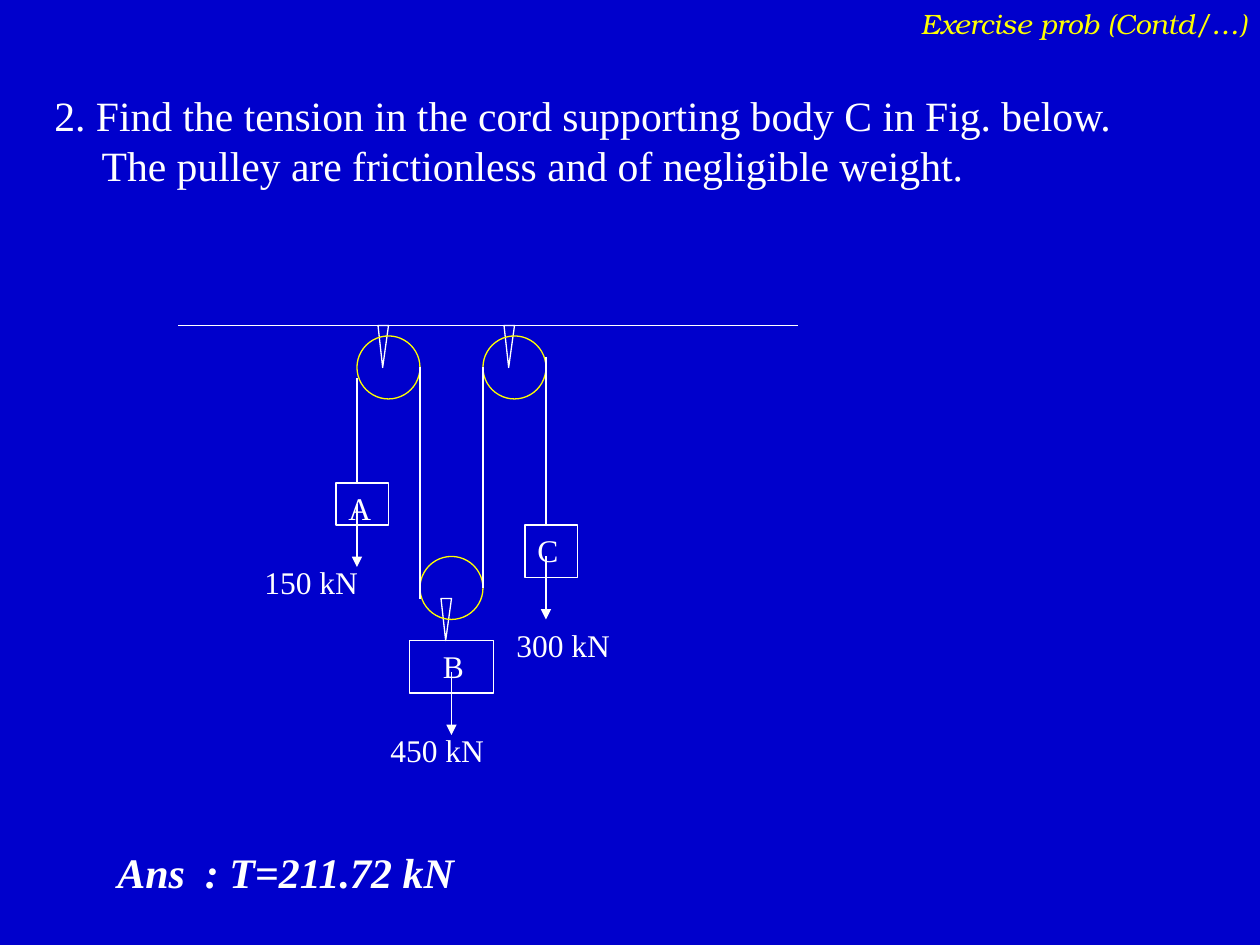
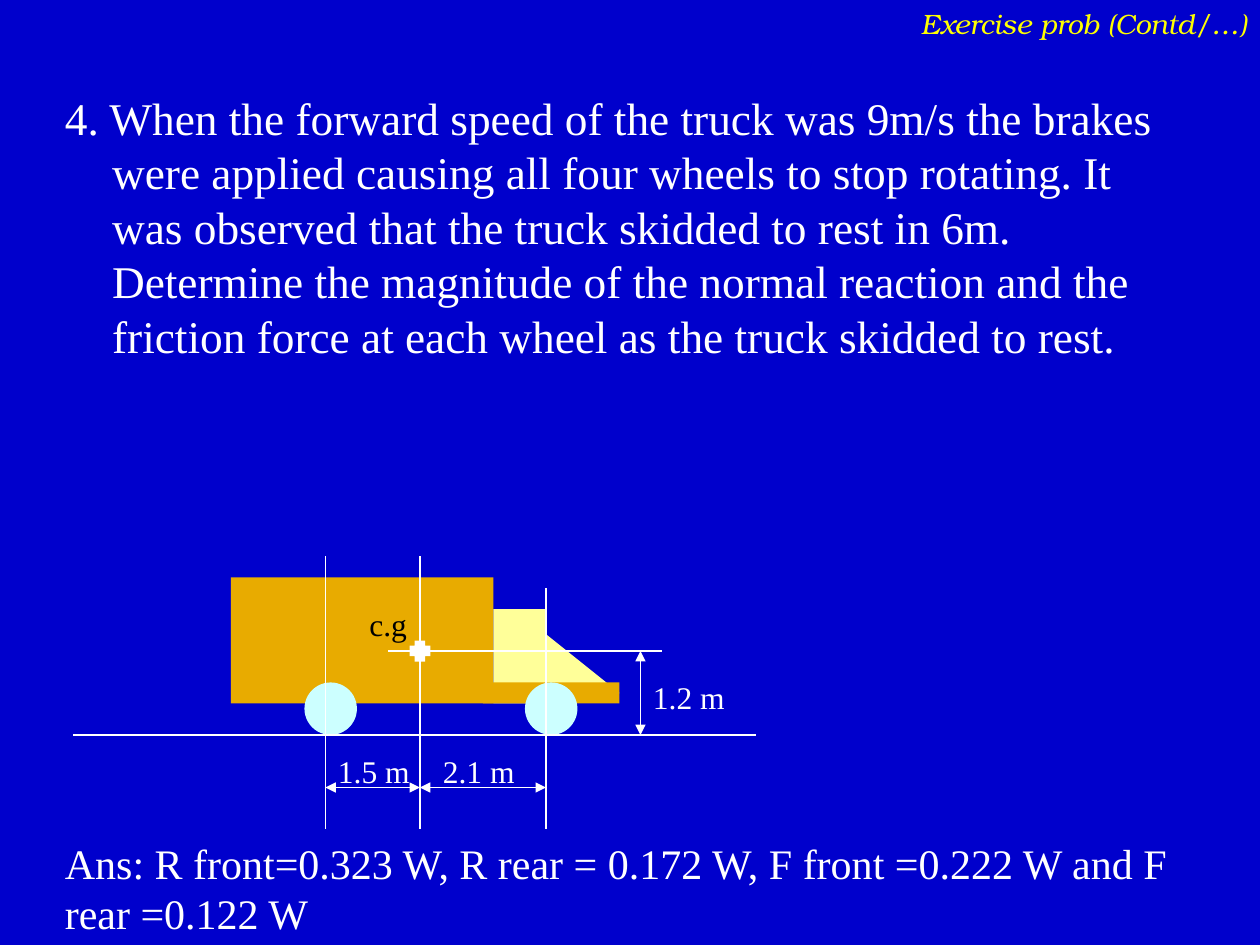
from dataclasses import dataclass
from typing import Any

from lxml.etree import SubElement
from pptx import Presentation
from pptx.dml.color import RGBColor
from pptx.enum.shapes import MSO_CONNECTOR, MSO_SHAPE as SHAPE
from pptx.enum.text import PP_ALIGN
from pptx.oxml.ns import qn
from pptx.util import Pt

COLORS = {
    "background": "0000CC",
    "ink": "FFFFFF",
    "accent": "FFFF00",
    "body": "E8AB00",
    "cab": "FFFF99",
    "wheel": "CCFFFF",
    "dark": "000000",
}
SERIF = "Times New Roman"
HEADER_FONT = "TeX Gyre Bonum"
BLANK_LAYOUT = 6
LINE_WIDTH = 0.75
LABEL_HEIGHT = 28.8


def rgb(color):
    return RGBColor.from_string(COLORS[color])


@dataclass
class Region:
    """Part of a slide; everything in it is placed from its top left corner."""
    slide: Any
    left: float
    top: float

    def place(self, x, y):
        return Pt(self.left + x), Pt(self.top + y)

    def shape(self, kind, x, y, width, height, fill=None, line=None):
        shape = self.slide.shapes.add_shape(
            kind, *self.place(x, y), Pt(width), Pt(height))
        shape.shadow.inherit = False
        if fill:
            shape.fill.solid()
            shape.fill.fore_color.rgb = rgb(fill)
        else:
            shape.fill.background()
        if line:
            shape.line.color.rgb = rgb(line)
            shape.line.width = Pt(LINE_WIDTH)
        else:
            shape.line.fill.background()
        return shape

    def line(self, x1, y1, x2, y2, arrows=()):
        """Draw a line; arrows lists the ends that carry a head."""
        connector = self.slide.shapes.add_connector(
            MSO_CONNECTOR.STRAIGHT, *self.place(x1, y1), *self.place(x2, y2))
        connector.line.color.rgb = rgb("ink")
        connector.line.width = Pt(LINE_WIDTH)
        properties = connector.element.spPr
        for end in arrows:
            SubElement(properties.find(qn("a:ln")), qn(f"a:{end}"), type="triangle")
        SubElement(properties, qn("a:effectLst"))

    def dimension(self, x1, y1, x2, y2):
        self.line(x1, y1, x2, y2, ("headEnd", "tailEnd"))

    def text(self, words, x, y, width, height=LABEL_HEIGHT, size=18, color="ink",
             font=SERIF, bold=False, italic=False):
        box = self.slide.shapes.add_textbox(
            *self.place(x, y), Pt(width), Pt(height))
        box.text_frame.word_wrap = True
        paragraph = box.text_frame.paragraphs[0]
        run = paragraph.add_run()
        run.text = words
        run.font.name = font
        run.font.size = Pt(size)
        run.font.bold = bold
        run.font.italic = italic
        run.font.color.rgb = rgb(color)
        return paragraph


def add_header(region):
    paragraph = region.text("Exercise prob (Contd/…)", 0, 0, 228, 26.6, 16,
                            "accent", HEADER_FONT, italic=True)
    paragraph.alignment = PP_ALIGN.RIGHT


def add_question(region, words, height, size):
    """Write the problem with a hanging indent after its number."""
    paragraph = region.text(words, 0, 0, 648, height, size)
    properties = paragraph._p.get_or_add_pPr()
    properties.set("marL", str(Pt(27)))
    properties.set("indent", str(-Pt(27)))


def add_problem_slide(prs, question, left, height, size):
    slide = prs.slides.add_slide(prs.slide_layouts[BLANK_LAYOUT])
    add_question(Region(slide, left, 48), question, height, size)
    add_header(Region(slide, 492, 0))
    return slide


def draw_pulleys(region):
    pulley, hook_width, hook_height = 36, 6, 24
    region.line(0, 0, 354, 0)
    for x, y, hook_y in ((102, 6, 0), (174, 6, 0), (138, 132, 156)):
        hook = region.shape(SHAPE.ISOSCELES_TRIANGLE, x + 12, hook_y,
                            hook_width, hook_height, line="ink")
        hook.adjustments[0] = 0.56
        hook.rotation = 180
        region.shape(SHAPE.OVAL, x, y, pulley, pulley, line="accent")

    cords = ((30, 90), (24, 156), (24, 150), (18, 114))
    for index, (top, bottom) in enumerate(cords):
        x = 102 + index * pulley
        region.line(x, top, x, bottom)

    # name, box, indent of the name, start of the arrow, weight and its place
    bodies = (
        ("A", (90, 90, 30, 24), 0, (102, 102), "150 kN", (42, 132)),
        ("B", (132, 180, 48, 30), 12, (156, 198), "450 kN", (114, 228)),
        ("C", (198, 114, 30, 30), 0, (210, 132), "300 kN", (186, 168)),
    )
    for name, box, indent, (x, y), weight, weight_place in bodies:
        region.shape(SHAPE.RECTANGLE, *box, line="ink")
        region.line(x, y, x, y + 36, ("tailEnd",))
        region.text(weight, *weight_place, 84)
        region.text(name, box[0] + indent, box[1], 30)


def draw_truck(region):
    rear, gravity, front = 144, 198, 270
    ground, gravity_height, foot, dimension_y = 102, 54, 156, 132

    region.shape(SHAPE.RECTANGLE, 90, 12, 150, 72, "body")
    region.shape(SHAPE.RIGHT_TRIANGLE, 252, 30, 60, 48, "cab")
    region.shape(SHAPE.RECTANGLE, 240, 30, 30, 54, "cab")
    region.shape(SHAPE.RECTANGLE, 234, 72, 78, 12, "body")
    for axle in (rear, front):
        region.shape(SHAPE.OVAL, axle - 12, ground - 30, 30, 30, "wheel")

    region.line(0, ground, 390, ground)
    for x, top in ((rear, 0), (front, 18), (gravity, 0)):
        region.line(x, top, x, foot)
    region.dimension(rear, dimension_y, gravity, dimension_y)
    region.dimension(gravity, dimension_y, front, dimension_y)
    region.text("1.5 m", rear, 108, 60)
    region.text("2.1 m", gravity + 6, 108, 60)

    region.line(180, gravity_height, 336, gravity_height)
    region.dimension(324, gravity_height, 324, ground)
    region.text("1.2 m", 324, 66, 60)
    region.shape(SHAPE.CROSS, gravity - 6, gravity_height - 6, 12, 12, "ink")
    region.text("c.g", 162, 24, 60, color="dark")


def add_pulley_slide(prs):
    slide = add_problem_slide(
        prs,
        "2. Find the tension in the cord supporting body C in Fig. below. "
        "The pulley are frictionless and of negligible weight.",
        left=24, height=78, size=23.8)
    draw_pulleys(Region(slide, 102, 186))
    answer = Region(slide, 60, 480).text(
        "Ans\t: T=211.72 kN", 0, 0, 282, 36, 24, bold=True, italic=True)
    tabs = SubElement(answer._p.get_or_add_pPr(), qn("a:tabLst"))
    SubElement(tabs, qn("a:tab"), pos=str(Pt(50)), algn="l")


def add_truck_slide(prs):
    slide = add_problem_slide(
        prs,
        "4. When the forward speed of the truck was 9m/s the brakes were applied "
        "causing all four wheels to stop rotating. It was observed that the truck "
        "skidded to rest in 6m. Determine the magnitude of the normal reaction and "
        "the friction force at each wheel as the truck skidded to rest.",
        left=30, height=168, size=25.9)
    draw_truck(Region(slide, 42, 318))
    Region(slide, 30, 475).text(
        "Ans: R front=0.323 W, R rear = 0.172 W, "
        "F front =0.222 W and F rear =0.122 W", 0, 0, 654, 65, 24)


def main():
    prs = Presentation()
    prs.slide_width, prs.slide_height = Pt(720), Pt(540)
    background = prs.slide_master.background.fill
    background.solid()
    background.fore_color.rgb = rgb("background")
    add_pulley_slide(prs)
    add_truck_slide(prs)
    prs.save("out.pptx")


if __name__ == "__main__":
    main()
